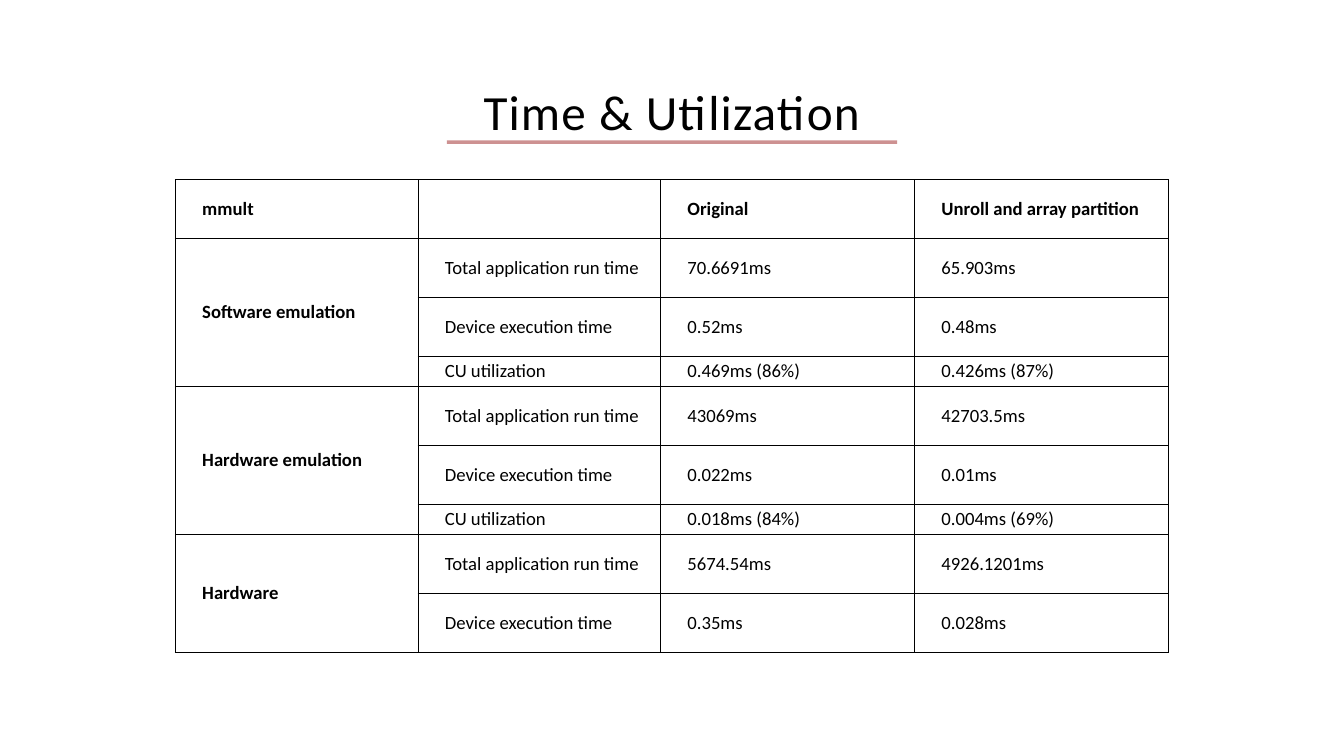
from dataclasses import dataclass

from lxml.etree import SubElement
from pptx import Presentation
from pptx.dml.color import RGBColor
from pptx.enum.shapes import MSO_SHAPE
from pptx.enum.text import MSO_ANCHOR, MSO_AUTO_SIZE, PP_ALIGN
from pptx.oxml.ns import qn
from pptx.util import Inches, Pt


@dataclass(frozen=True)
class Theme:
    font: str = "Calibri"
    ink: str = "000000"
    accent: str = "CD9191"
    title_size: float = 52.7
    table_size: float = 20


theme = Theme()


def add_run(paragraph, text, size, bold=False):
    run = paragraph.add_run()
    run.text = text
    run.font.name = theme.font
    run.font.size = Pt(size)
    run.font.bold = bold
    run.font.color.rgb = RGBColor.from_string(theme.ink)
    return run


def outline_cell(cell):
    properties = cell._tc.get_or_add_tcPr()
    for side in ("a:lnL", "a:lnR", "a:lnT", "a:lnB"):
        border = SubElement(properties, qn(side), w=str(Pt(1)))
        fill = SubElement(border, qn("a:solidFill"))
        SubElement(fill, qn("a:srgbClr"), val=theme.ink)


deck = Presentation()
deck.slide_width = Inches(20)
deck.slide_height = Inches(11.25)
slide = deck.slides.add_slide(deck.slide_layouts[5])

underline = slide.shapes.add_shape(
    MSO_SHAPE.RECTANGLE, Inches(6.65), Inches(2.09), Inches(6.7), Inches(0.05))
underline.shadow.inherit = False
underline.fill.solid()
underline.fill.fore_color.rgb = RGBColor.from_string(theme.accent)
underline.line.fill.background()

title = slide.shapes.title
title.left, title.top = Inches(5.01), Inches(1.27)
title.width, title.height = Inches(9.98), Inches(0.83)
heading = title.text_frame
heading.margin_left = heading.margin_right = 0
heading.margin_top = heading.margin_bottom = 0
heading.vertical_anchor = MSO_ANCHOR.TOP
heading.word_wrap = True
heading.auto_size = MSO_AUTO_SIZE.NONE
heading_line = heading.paragraphs[0]
heading_line.alignment = PP_ALIGN.CENTER
heading_line.line_spacing = Pt(58.5)
heading_run = add_run(heading_line, "Time & Utilization", theme.title_size)
heading_run.font._element.set("spc", "120")

metrics = ["Total application run time", "Device execution time", "CU utilization"]
stages = {
    "Software emulation": [
        ("70.6691ms", "65.903ms"),
        ("0.52ms", "0.48ms"),
        ("0.469ms (86%)", "0.426ms (87%)"),
    ],
    "Hardware emulation": [
        ("43069ms", "42703.5ms"),
        ("0.022ms", "0.01ms"),
        ("0.018ms (84%)", "0.004ms (69%)"),
    ],
    "Hardware": [
        ("5674.54ms", "4926.1201ms"),
        ("0.35ms", "0.028ms"),
    ],
}

rows = [("mmult", "", "Original", "Unroll and array partition")]
stage_spans = []
for stage, timings in stages.items():
    stage_spans.append((len(rows), len(rows) + len(timings) - 1))
    for index, (metric, timing) in enumerate(zip(metrics, timings)):
        rows.append((stage if index == 0 else "", metric, *timing))

column_widths = [3.61, 3.61, 3.78, 3.78]
row_heights = [0.44 if row[1] == "CU utilization" else 0.88 for row in rows]
results = slide.shapes.add_table(
    len(rows), len(column_widths), Inches(2.61), Inches(2.67),
    Inches(sum(column_widths)), Inches(sum(row_heights))).table
results.first_row = False
results.horz_banding = False
for column, width in zip(results.columns, column_widths):
    column.width = Inches(width)
for row, height in zip(results.rows, row_heights):
    row.height = Inches(height)

for row_index, row in enumerate(rows):
    for column_index, text in enumerate(row):
        cell = results.cell(row_index, column_index)
        outline_cell(cell)
        cell.fill.background()
        cell.vertical_anchor = MSO_ANCHOR.MIDDLE
        cell.margin_left = cell.margin_right = Inches(0.07)
        cell.margin_top = cell.margin_bottom = 0
        if text:
            paragraph = cell.text_frame.paragraphs[0]
            paragraph._p.get_or_add_pPr().set("marL", str(Inches(0.33)))
            add_run(paragraph, text, theme.table_size,
                    bold=row_index == 0 or column_index == 0)

for first, last in stage_spans:
    results.cell(first, 0).merge(results.cell(last, 0))

deck.save("out.pptx")
